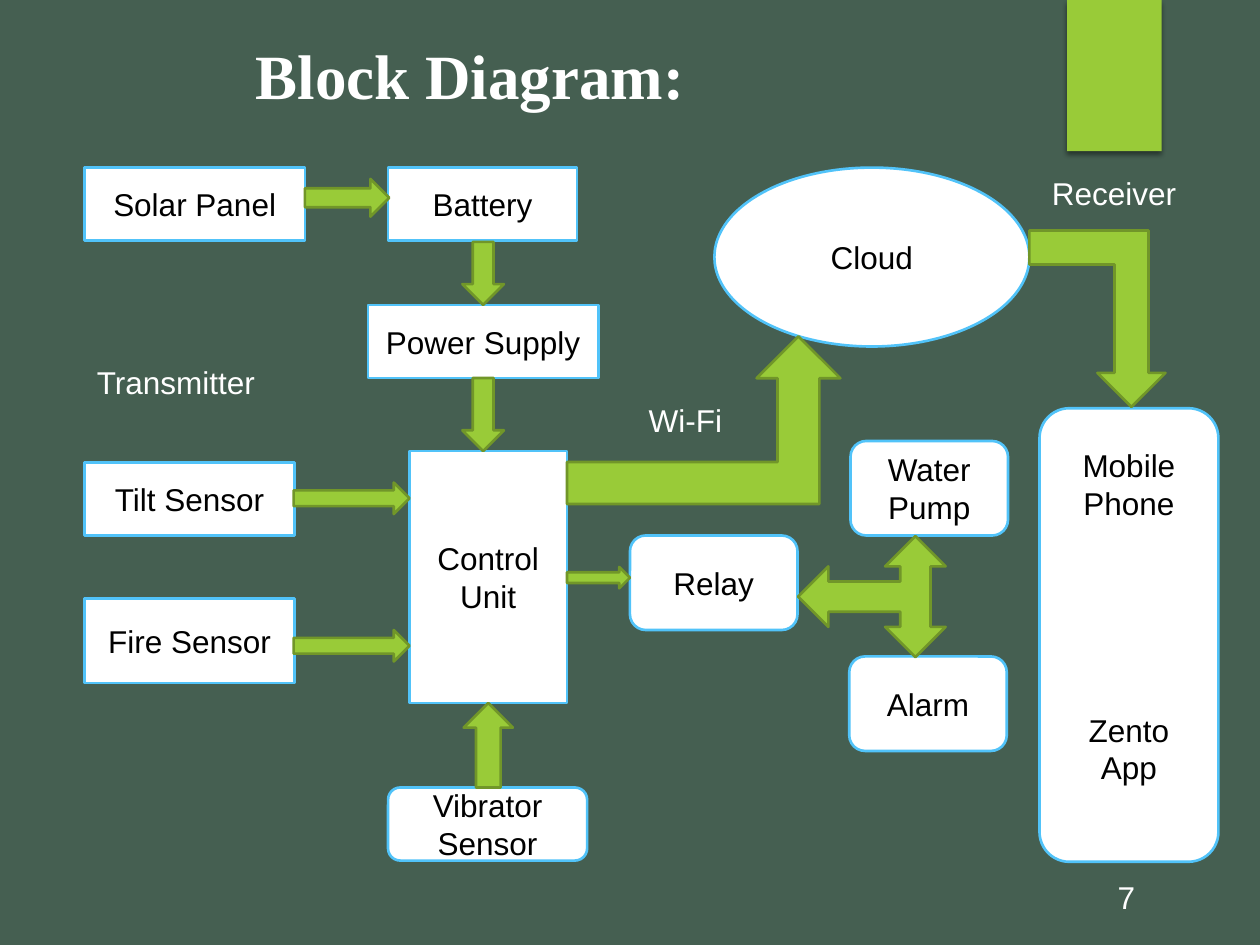
from lxml import etree
from pptx import Presentation
from pptx.dml.color import RGBColor
from pptx.enum.shapes import MSO_SHAPE
from pptx.enum.text import MSO_ANCHOR, MSO_AUTO_SIZE, PP_ALIGN
from pptx.oxml import parse_xml
from pptx.oxml.ns import nsdecls
from pptx.util import Inches, Pt

RECT, ROUND, OVAL = MSO_SHAPE.RECTANGLE, MSO_SHAPE.ROUNDED_RECTANGLE, MSO_SHAPE.OVAL
RIGHT, DOWN, BENT = MSO_SHAPE.RIGHT_ARROW, MSO_SHAPE.DOWN_ARROW, MSO_SHAPE.BENT_UP_ARROW
THREE_WAY = MSO_SHAPE.LEFT_RIGHT_UP_ARROW
TITLE_ONLY = 5


class Theme:
    background = RGBColor.from_string("455F51")
    accent = RGBColor.from_string("99CB38")
    accent_edge = RGBColor.from_string("719629")
    block = RGBColor.from_string("FFFFFF")
    block_edge = RGBColor.from_string("51C3F9")
    block_text = RGBColor.from_string("000000")
    light_text = RGBColor.from_string("FFFFFF")
    body_font, title_font = "Arial", "Times New Roman"
    body_size, title_size = Pt(18), Pt(36)
    edge_width = Pt(1.5)


def add_filled(kind, box, fill, edge=None):
    """Add a preset shape without shadow; with no edge colour it has no outline."""
    shape = slide.shapes.add_shape(kind, *map(Inches, box))
    shape.shadow.inherit = False
    shape.fill.solid()
    shape.fill.fore_color.rgb = fill
    if edge is None:
        shape.line.fill.background()
    else:
        shape.line.color.rgb = edge
        shape.line.width = Theme.edge_width
    return shape


def write_lines(frame, lines, color, align, font=Theme.body_font, size=Theme.body_size):
    """Write one paragraph per line in a wrapping text frame."""
    frame.word_wrap = True
    for index, line in enumerate(lines):
        paragraph = frame.add_paragraph() if index else frame.paragraphs[0]
        paragraph.alignment = align
        run = paragraph.add_run()
        run.text = line
        run.font.name, run.font.size = font, size
        run.font.color.rgb = color


prs = Presentation()
prs.slide_width, prs.slide_height = Inches(10), Inches(7.5)
slide = prs.slides.add_slide(prs.slide_layouts[TITLE_ONLY])
slide.background.fill.solid()
slide.background.fill.fore_color.rgb = Theme.background

# Corner tab with a soft shadow below it
tab = add_filled(RECT, (8.47, 0, 0.75, 1.2), Theme.accent)
tab_effects = tab.element.spPr.find("{*}effectLst")
tab_effects.append(parse_xml(
    f'<a:outerShdw {nsdecls("a")} blurRad="{Pt(3)}" dist="{Pt(2)}" dir="5400000" rotWithShape="0">'
    '<a:srgbClr val="000000"><a:alpha val="45000"/></a:srgbClr></a:outerShdw>'))

title = slide.shapes.title
title.left, title.top, title.width, title.height = map(Inches, (1.93, 0.24, 4.3, 0.71))
title.text_frame.auto_size = MSO_AUTO_SIZE.NONE
title.text_frame.vertical_anchor = MSO_ANCHOR.TOP
write_lines(title.text_frame, ["Block Diagram:"], Theme.light_text, PP_ALIGN.LEFT,
            Theme.title_font, Theme.title_size)
title.text_frame.paragraphs[0].runs[0].font.bold = True

# Blocks: shape, (left, top, width, height), lines
blocks = [
    (RECT, (0.67, 1.33, 1.75, 0.58), ["Solar Panel"]),
    (RECT, (3.08, 1.33, 1.5, 0.58), ["Battery"]),
    (RECT, (2.92, 2.42, 1.83, 0.58), ["Power Supply"]),
    (RECT, (3.25, 3.58, 1.25, 2), ["Control", "Unit"]),
    (ROUND, (3.08, 6.25, 1.58, 0.58), ["Vibrator Sensor"]),
    (RECT, (0.67, 3.67, 1.67, 0.58), ["Tilt Sensor"]),
    (RECT, (0.67, 4.75, 1.67, 0.67), ["Fire Sensor"]),
    (OVAL, (5.67, 1.33, 2.5, 1.42), ["Cloud"]),
    (ROUND, (5, 4.25, 1.33, 0.75), ["Relay"]),
    (ROUND, (6.75, 3.5, 1.25, 0.75), ["Water Pump"]),
    (ROUND, (6.74, 5.21, 1.25, 0.75), ["Alarm"]),
    (ROUND, (8.25, 3.24, 1.42, 3.6), ["Mobile", "Phone", "Zento", "App"]),
]
for kind, box, lines in blocks:
    block = add_filled(kind, box, Theme.block, Theme.block_edge)
    block.text_frame.vertical_anchor = MSO_ANCHOR.MIDDLE
    write_lines(block.text_frame, lines, Theme.block_text, PP_ALIGN.CENTER)

# The phone is the last block: its app sits apart, in the lower half
phone_text = block.text_frame
phone_text.paragraphs[2].space_before = Pt(108)
phone_text.margin_bottom = Inches(0.35)

# Arrows: shape, (left, top, width, height), rotation
arrows = [
    (RIGHT, (2.42, 1.42, 0.67, 0.3), 0),
    (DOWN, (3.67, 1.92, 0.33, 0.5), 0),
    (DOWN, (3.67, 3, 0.33, 0.58), 0),
    (DOWN, (3.68, 5.58, 0.39, 0.67), 180),
    (RIGHT, (2.33, 3.83, 0.92, 0.25), 0),
    (RIGHT, (2.33, 5, 0.92, 0.25), 0),
    (RIGHT, (4.5, 4.5, 0.5, 0.17), 0),
    (THREE_WAY, (6.44, 4.15, 0.96, 1.17), 270),
    (BENT, (4.5, 2.67, 2.17, 1.33), 0),
    (BENT, (8.17, 1.83, 1.08, 1.4), 0),
]
for kind, box, rotation in arrows:
    arrow = add_filled(kind, box, Theme.accent, Theme.accent_edge)
    arrow.rotation = rotation

# The last arrow, from cloud to phone, bends downwards
arrow.element.spPr.find("{*}xfrm").set("flipV", "1")

# Free labels: text, (left, top, width, height)
labels = [
    ("Transmitter", (0.67, 2.83, 1.67, 0.4)),
    ("Wi-Fi", (5.05, 3.13, 1.06, 0.4)),
    ("Receiver", (8.25, 1.33, 1.42, 0.4)),
    ("7", (8.87, 6.92, 0.2, 0.4)),
]
for text, box in labels:
    label = slide.shapes.add_textbox(*map(Inches, box))
    write_lines(label.text_frame, [text], Theme.light_text, PP_ALIGN.LEFT)

# The page number is the last label, in a box no wider than the digit needs
label.text_frame.margin_left = label.text_frame.margin_right = Inches(0)

prs.save("out.pptx")
